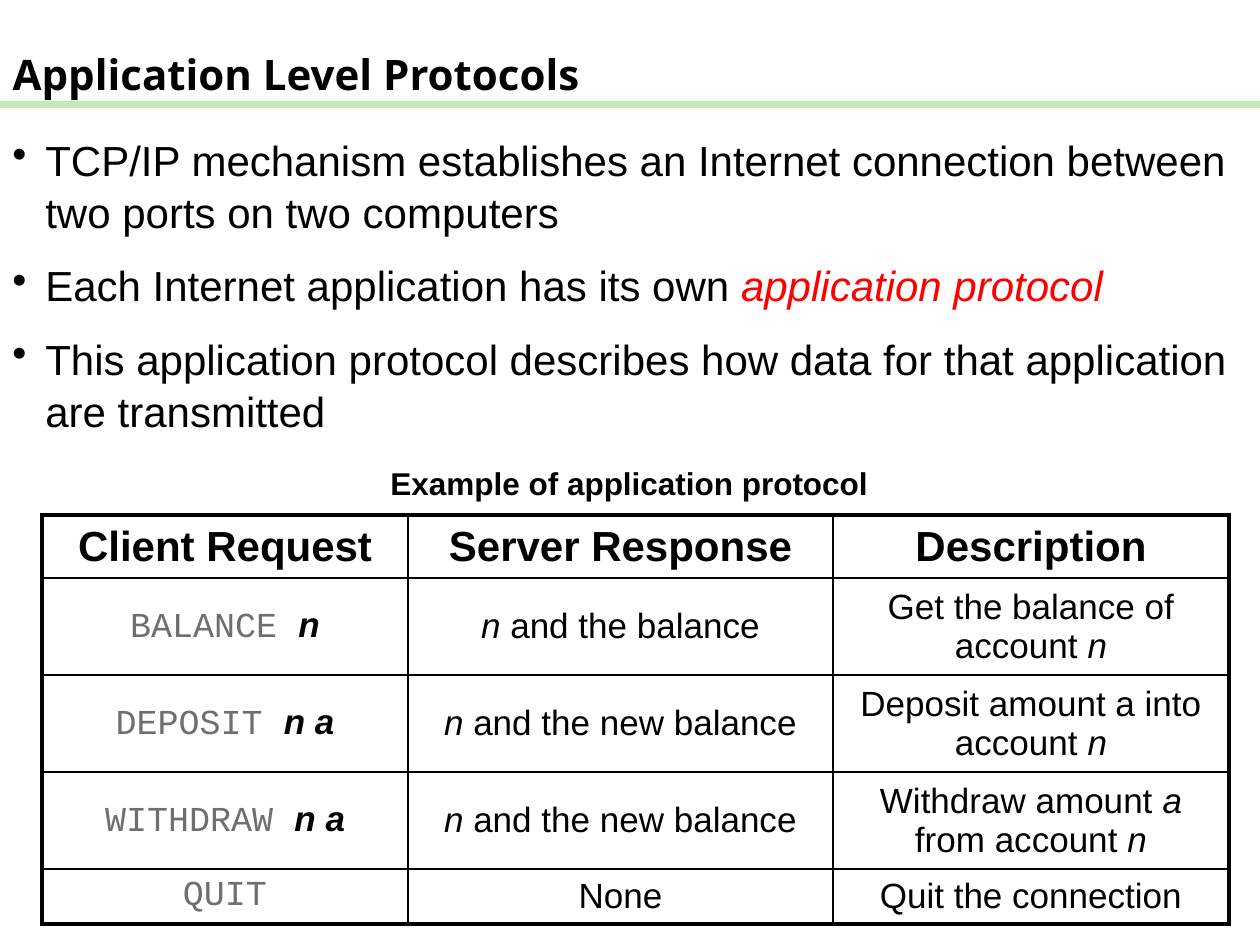
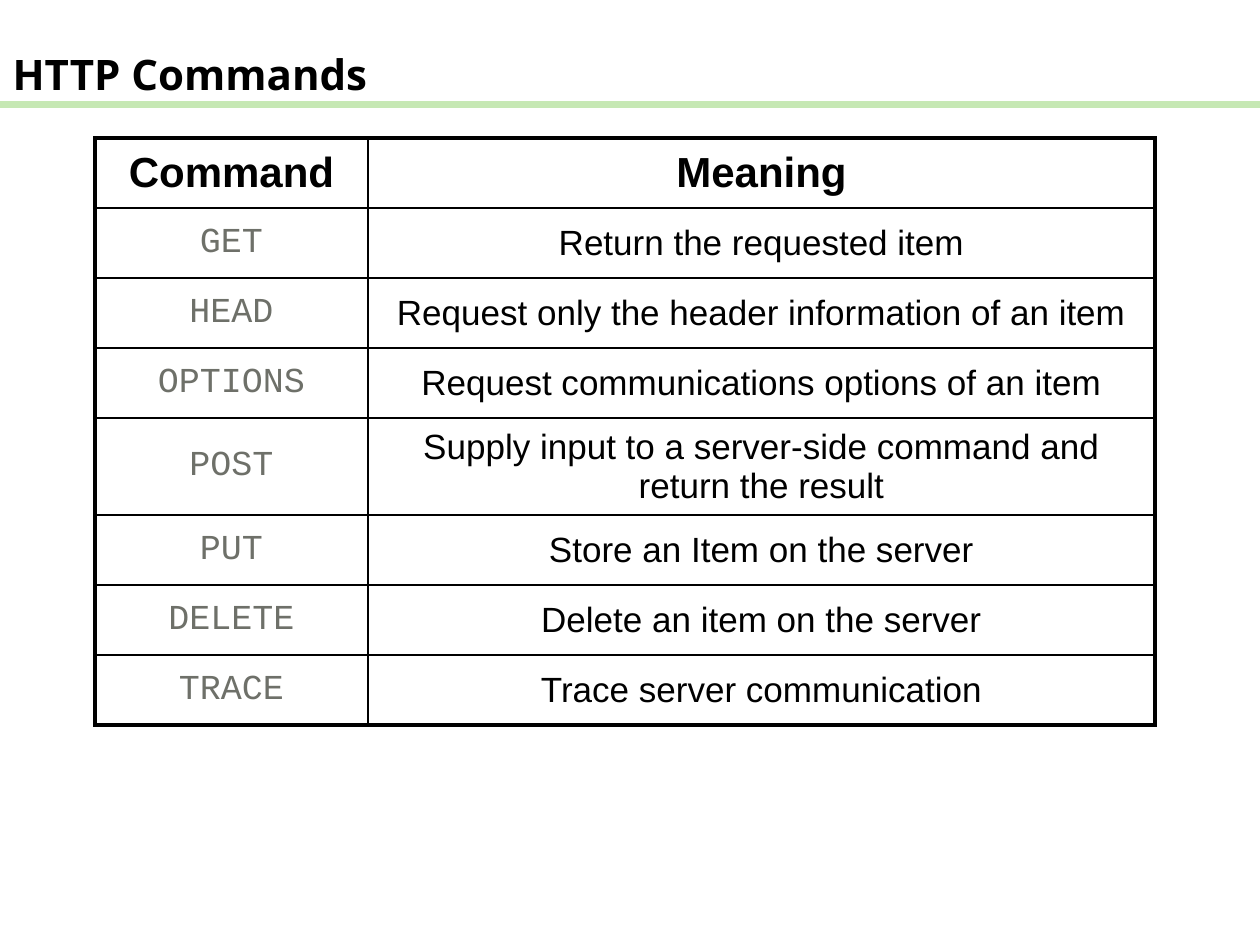
from lxml import etree
from pptx import Presentation
from pptx.dml.color import RGBColor
from pptx.enum import shapes, text
from pptx.oxml import ns
from pptx.util import Emu, Pt

PX = 914400 / 126
PAGE_WIDTH, PAGE_HEIGHT = 1260, 945
TITLE_ONLY = 5

BLACK = RGBColor(0x00, 0x00, 0x00)
RED = RGBColor(0xFF, 0x00, 0x00)
GREY = RGBColor(0x6E, 0x70, 0x69)
GREEN = RGBColor(0xC6, 0xE8, 0xB4)

TITLE_FONT, BODY_FONT, CODE_FONT = "Noto Sans", "Arial", "Courier New"
OUTER_BORDER, INNER_BORDER = 2.25, 1

# Span styles: font, colour, bold, italic
PLAIN = (BODY_FONT, BLACK, False, False)
BOLD = (BODY_FONT, BLACK, True, False)
ITALIC = (BODY_FONT, BLACK, False, True)
ARGUMENT = (BODY_FONT, BLACK, True, True)
KEY_TERM = (BODY_FONT, RED, False, True)
CODE = (CODE_FONT, GREY, False, False)
TITLE = (TITLE_FONT, BLACK, True, False)

BULLETS = [
    [("TCP/IP mechanism establishes an Internet connection between "
      "two ports on two computers", PLAIN)],
    [("Each Internet application has its own ", PLAIN),
     ("application protocol", KEY_TERM)],
    [("This application protocol describes how data for that application "
      "are transmitted", PLAIN)],
]

PROTOCOL_HEADER = ["Client Request", "Server Response", "Description"]
PROTOCOL_ROWS = [
    [[("BALANCE ", CODE), ("n", ARGUMENT)],
     [("n", ITALIC), (" and the balance", PLAIN)],
     [("Get the balance of account ", PLAIN), ("n", ITALIC)]],
    [[("DEPOSIT ", CODE), ("n a", ARGUMENT)],
     [("n", ITALIC), (" and the new balance", PLAIN)],
     [("Deposit amount a into account ", PLAIN), ("n", ITALIC)]],
    [[("WITHDRAW ", CODE), ("n a", ARGUMENT)],
     [("n", ITALIC), (" and the new balance", PLAIN)],
     [("Withdraw amount ", PLAIN), ("a", ITALIC),
      (" from account ", PLAIN), ("n", ITALIC)]],
    [[("QUIT", CODE)], [("None", PLAIN)], [("Quit the connection", PLAIN)]],
]

COMMANDS = {
    "GET": "Return the requested item",
    "HEAD": "Request only the header information of an item",
    "OPTIONS": "Request communications options of an item",
    "POST": "Supply input to a server-side command and return the result",
    "PUT": "Store an Item on the server",
    "DELETE": "Delete an item on the server",
    "TRACE": "Trace server communication",
}


def px(*lengths):
    return [Emu(round(length * PX)) for length in lengths]


def write_spans(para, spans, size):
    for words, (font_name, colour, bold, italic) in spans:
        span = para.add_run()
        span.text = words
        font = span.font
        font.name, font.size = font_name, Pt(size)
        font.bold, font.italic = bold, italic
        font.color.rgb = colour


def add_page(deck, title):
    """Add a slide with its title and the green rule below it."""
    page = deck.slides.add_slide(deck.slide_layouts[TITLE_ONLY])
    rule = page.shapes.add_connector(
        shapes.MSO_CONNECTOR.STRAIGHT, *px(0, 105, PAGE_WIDTH, 105))
    rule.line.color.rgb = GREEN
    rule.line.width = Pt(4)
    etree.SubElement(rule._element.spPr, ns.qn("a:effectLst"))

    box = page.shapes.title
    box.left, box.top, box.width, box.height = px(0, 42, 966, 63)
    frame = box.text_frame
    frame.auto_size = text.MSO_AUTO_SIZE.SHAPE_TO_FIT_TEXT
    frame.vertical_anchor = text.MSO_ANCHOR.TOP
    para = frame.paragraphs[0]
    para.alignment = text.PP_ALIGN.LEFT
    write_spans(para, [(title, TITLE)], 24)
    return page


def add_bullets(page, box, bullets):
    frame = page.shapes.add_textbox(*px(*box)).text_frame
    frame.word_wrap = True
    indent = px(33)[0]
    for number, spans in enumerate(bullets):
        para = frame.add_paragraph() if number else frame.paragraphs[0]
        para.space_before = Pt(12)
        para.line_spacing = 1.04
        write_spans(para, spans, 24)
        properties = para._p.get_or_add_pPr()
        properties.set("marL", str(indent))
        properties.set("indent", str(-indent))
        etree.SubElement(properties, ns.qn("a:buChar"), char="•")


def add_caption(page, box, caption):
    frame = page.shapes.add_textbox(*px(*box)).text_frame
    frame.word_wrap = False
    write_spans(frame.paragraphs[0], [(caption, BOLD)], 18)


def set_borders(cell, widths):
    """Draw the left, right, top and bottom borders, widths in points."""
    properties = cell._tc.get_or_add_tcPr()
    for position, (side, width) in enumerate(zip("LRTB", widths)):
        line = etree.Element(ns.qn(f"a:ln{side}"), w=str(Pt(width)))
        fill = etree.SubElement(line, ns.qn("a:solidFill"))
        etree.SubElement(fill, ns.qn("a:srgbClr"), val=str(BLACK))
        properties.insert(position, line)


def add_grid(page, left, top, widths, heights, header, rows):
    """Add a centred table with a heavy frame and thin inner lines."""
    row_count, column_count = len(heights), len(widths)
    table = page.shapes.add_table(
        row_count, column_count,
        *px(left, top, sum(widths), sum(heights))).table
    table.first_row = table.horz_banding = False
    for column, width in zip(table.columns, px(*widths)):
        column.width = width
    for row, height in zip(table.rows, px(*heights)):
        row.height = height

    content = [[[(label, BOLD)] for label in header]] + rows
    for r, row_spans in enumerate(content):
        for c, spans in enumerate(row_spans):
            cell = table.cell(r, c)
            cell.fill.background()
            cell.vertical_anchor = text.MSO_ANCHOR.MIDDLE
            para = cell.text_frame.paragraphs[0]
            para.alignment = text.PP_ALIGN.CENTER
            write_spans(para, spans, 20 if r else 24)
            on_frame = (c == 0, c == column_count - 1,
                        r == 0, r == row_count - 1)
            set_borders(cell, [OUTER_BORDER if edge else INNER_BORDER
                               for edge in on_frame])


def build_protocols(deck):
    page = add_page(deck, "Application Level Protocols")
    add_bullets(page, (0, 126, PAGE_WIDTH, 315), BULLETS)
    add_grid(page, 42, 515, [366, 425, 396], [62, 97, 97, 97, 55],
             PROTOCOL_HEADER, PROTOCOL_ROWS)
    add_caption(page, (378, 458, 508, 50), "Example of application protocol")


def build_commands(deck):
    page = add_page(deck, "HTTP Commands")
    rows = [[[(command, CODE)], [(meaning, PLAIN)]]
            for command, meaning in COMMANDS.items()]
    heights = [70] + [97 if command == "POST" else 70 for command in COMMANDS]
    add_grid(page, 95, 138, [273, 787], heights, ["Command", "Meaning"], rows)


def main():
    deck = Presentation()
    deck.slide_width, deck.slide_height = px(PAGE_WIDTH, PAGE_HEIGHT)
    build_protocols(deck)
    build_commands(deck)
    deck.save("out.pptx")


if __name__ == "__main__":
    main()
